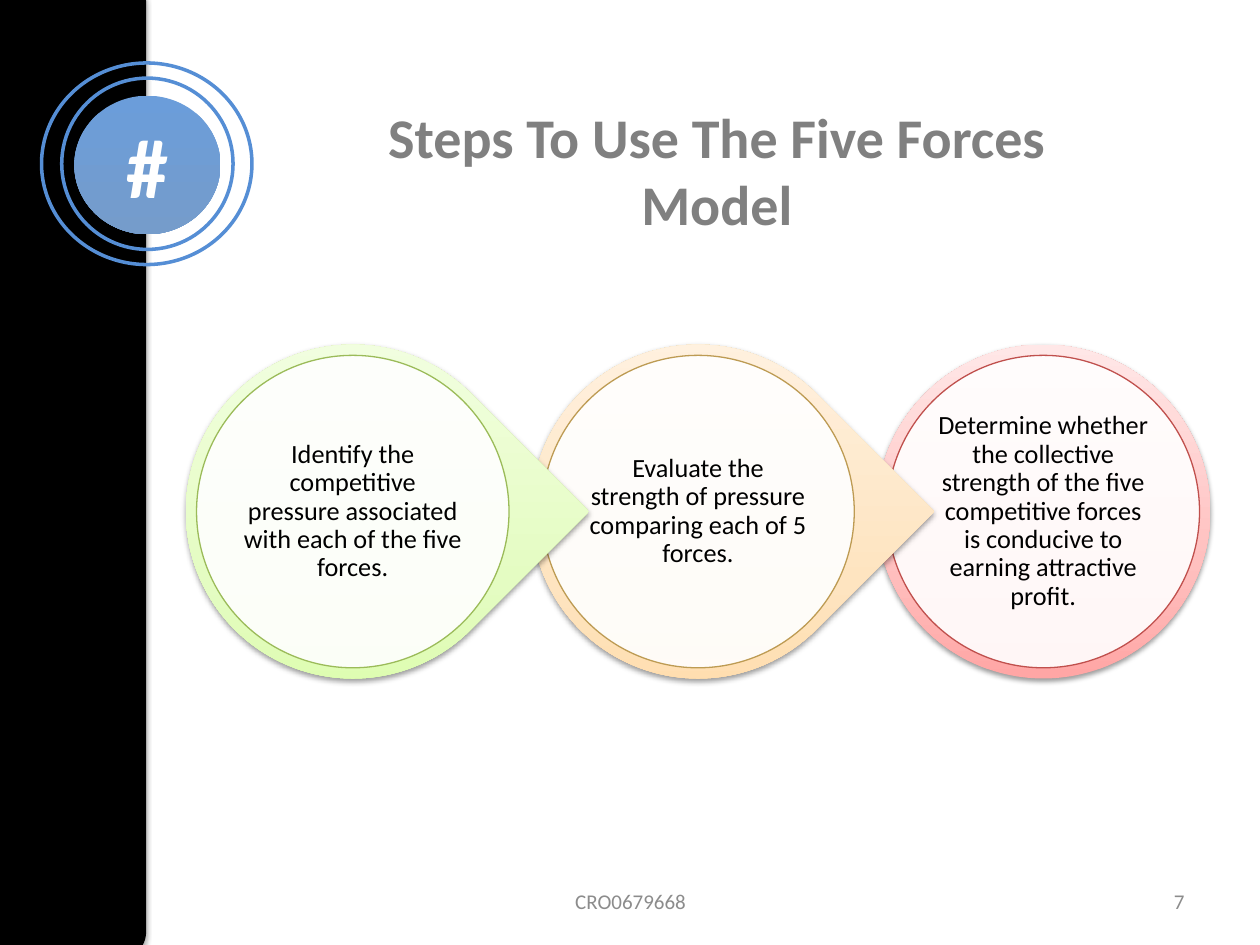
from lxml import etree
from pptx import Presentation
from pptx.dml.color import RGBColor
from pptx.enum.shapes import MSO_SHAPE
from pptx.enum.text import MSO_ANCHOR, MSO_AUTO_SIZE, PP_ALIGN
from pptx.oxml.ns import qn
from pptx.util import Inches, Pt

# Content
TITLE = "Steps To Use The Five Forces Model"
BADGE = "#"
FOOTER = "CRO0679668"
PAGE_NUMBER = "7"
STEPS = [
    {"text": "Identify the competitive pressure associated with each of the five forces.",
     "line": "9BBB59", "stops": [(0, "DAFDA7"), (35, "E4FCC2"), (100, "F5FFE7")]},
    {"text": "Evaluate the strength of pressure comparing each of 5 forces.",
     "line": "BD9B53", "stops": [(0, "FFDAA5"), (35, "FEE4C0"), (100, "FFF4E7")]},
    {"text": "Determine whether the collective strength of the five competitive "
             "forces is conducive to earning attractive profit.",
     "line": "C0504D", "stops": [(0, "FFA6A5"), (35, "FFC0BF"), (100, "FFE7E7")]},
]
RINGS = [(0.49, 0.62, 1.36, 1.36), (0.33, 0.5, 1.67, 1.6)]

# Step geometry
FIRST_CENTER, STEP_PITCH, CENTER_Y = 2.8, 2.74, 4.06
OUTER_SIZE, INNER_SIZE, TEXT_SIZE = 2.65, 2.48, 1.77


def color(hex_value):
    return RGBColor.from_string(hex_value)


def add_element(parent, tag, **attributes):
    element = etree.SubElement(parent, qn(tag))
    for name, value in attributes.items():
        element.set(name, str(value))
    return element


def set_gradient(shape, stops, angle):
    shape.fill.gradient()
    gradient = shape._element.spPr.find(qn("a:gradFill"))
    gradient.set("rotWithShape", "0")
    for child in list(gradient):
        gradient.remove(child)
    stop_list = add_element(gradient, "a:gsLst")
    for position, hex_value in stops:
        stop = add_element(stop_list, "a:gs", pos=position * 1000)
        add_element(stop, "a:srgbClr", val=hex_value)
    add_element(gradient, "a:lin", ang=angle * 60000, scaled=0)


def set_shadow(shape, opacity, distance):
    effects = shape._element.spPr.find(qn("a:effectLst"))
    shadow = add_element(effects, "a:outerShdw", blurRad=Pt(3.1), dist=Pt(distance),
                         dir=90 * 60000, rotWithShape=0)
    black = add_element(shadow, "a:srgbClr", val="000000")
    add_element(black, "a:alpha", val=opacity * 1000)


def add_figure(slide, kind, box, fill=None, line=None, width=2):
    shape = slide.shapes.add_shape(kind, *map(Inches, box))
    shape.shadow.inherit = False
    if fill:
        shape.fill.solid()
        shape.fill.fore_color.rgb = color(fill)
    else:
        shape.fill.background()
    if line:
        shape.line.color.rgb = color(line)
        shape.line.width = Pt(width)
    else:
        shape.line.fill.background()
    return shape


def write_text(shape, text, size, hex_value, bold=False, align=PP_ALIGN.CENTER,
               anchor=MSO_ANCHOR.MIDDLE, inset=None, spacing=None):
    frame = shape.text_frame
    frame.word_wrap = True
    frame.vertical_anchor = anchor
    if inset is not None:
        frame.margin_left = frame.margin_right = Inches(inset)
        frame.margin_top = frame.margin_bottom = Inches(inset)
    paragraph = frame.paragraphs[0]
    paragraph.alignment = align
    if spacing:
        paragraph.line_spacing = spacing
    run = paragraph.add_run()
    run.text = text
    run.font.name = "Calibri"
    run.font.size = Pt(size)
    run.font.bold = bold
    run.font.color.rgb = color(hex_value)


def add_text(slide, box, text, **text_format):
    write_text(slide.shapes.add_textbox(*map(Inches, box)), text, **text_format)


def centered_box(center_x, size):
    return center_x - size / 2, CENTER_Y - size / 2, size, size


def add_step(slide, index, step):
    center_x = FIRST_CENTER + index * STEP_PITCH
    is_last = index == len(STEPS) - 1
    kind = MSO_SHAPE.OVAL if is_last else MSO_SHAPE.TEAR
    outer = add_figure(slide, kind, centered_box(center_x, OUTER_SIZE))
    if not is_last:
        outer.adjustments[0] = 1
        outer.rotation = 45
    set_gradient(outer, step["stops"], 270)
    set_shadow(outer, 38, 1.6)

    inner = add_figure(slide, MSO_SHAPE.OVAL, centered_box(center_x, INNER_SIZE),
                       fill="FFFFFF", line=step["line"], width=0.75)
    white = inner._element.spPr.find(qn("a:solidFill")).find(qn("a:srgbClr"))
    add_element(white, "a:alpha", val=90000)

    add_text(slide, centered_box(center_x, TEXT_SIZE), step["text"], size=15,
             hex_value="000000", inset=0.02, spacing=0.9)


def main():
    presentation = Presentation()
    presentation.slide_width, presentation.slide_height = Inches(10), Inches(7.5)
    slide = presentation.slides.add_slide(presentation.slide_layouts[5])

    # Side band and badge
    band = add_figure(slide, MSO_SHAPE.ROUNDED_RECTANGLE, (-0.12, -0.19, 1.28, 7.8),
                      fill="000000")
    set_shadow(band, 35, 1.8)
    badge = add_figure(slide, MSO_SHAPE.OVAL, (0.59, 0.76, 1.16, 1.1))
    set_gradient(badge, [(0, "6B9DDA"), (100, "759CCB")], 90)
    write_text(badge, BADGE, 48, "FFFFFF", bold=True)
    for box in RINGS:
        add_figure(slide, MSO_SHAPE.OVAL, box, line="558ED5")

    # Title
    title = slide.shapes.title
    title.left, title.top, title.width, title.height = map(Inches, (2.46, 0.76, 6.46, 1.18))
    write_text(title, TITLE, 32, "808080", bold=True, anchor=MSO_ANCHOR.TOP)
    title.text_frame.auto_size = MSO_AUTO_SIZE.SHAPE_TO_FIT_TEXT

    # Steps, last one first so that each tip overlaps the next circle
    for index, step in reversed(list(enumerate(STEPS))):
        add_step(slide, index, step)

    # Footer
    add_text(slide, (7.17, 6.95, 2.33, 0.4), PAGE_NUMBER, size=12, hex_value="8C8C8C",
             align=PP_ALIGN.RIGHT)
    add_text(slide, (3.42, 6.95, 3.17, 0.4), FOOTER, size=12, hex_value="8C8C8C")

    presentation.save("out.pptx")


if __name__ == "__main__":
    main()
